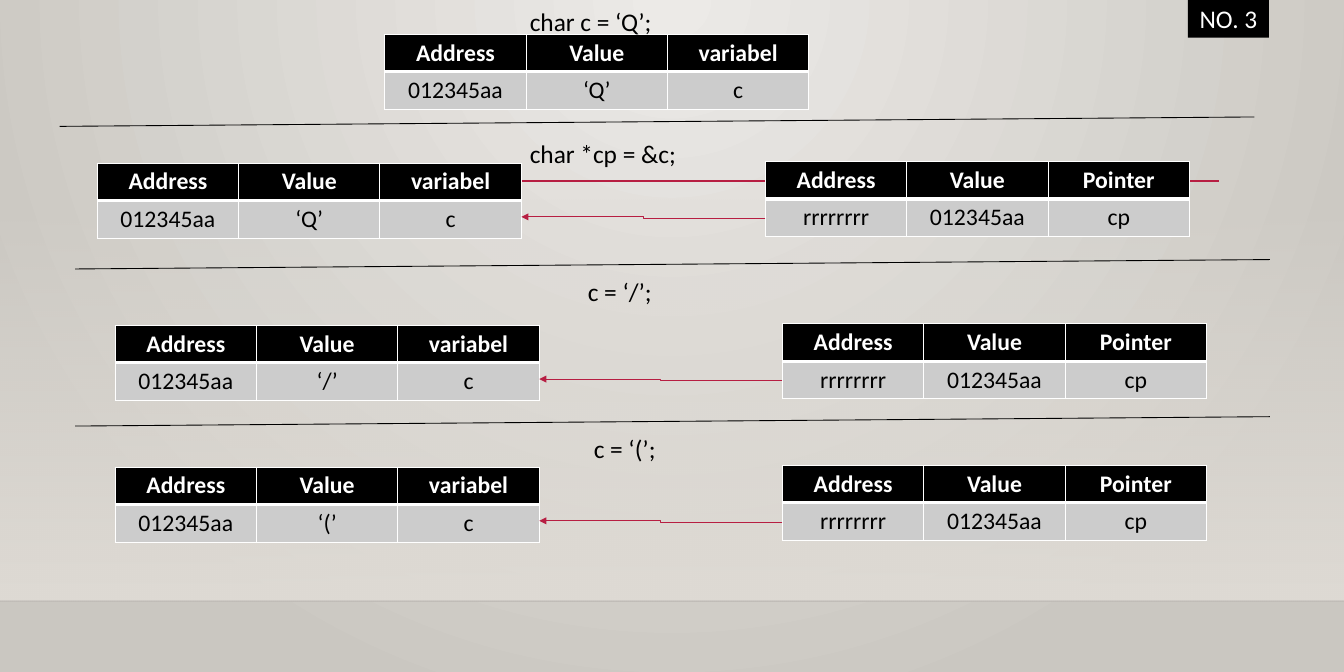
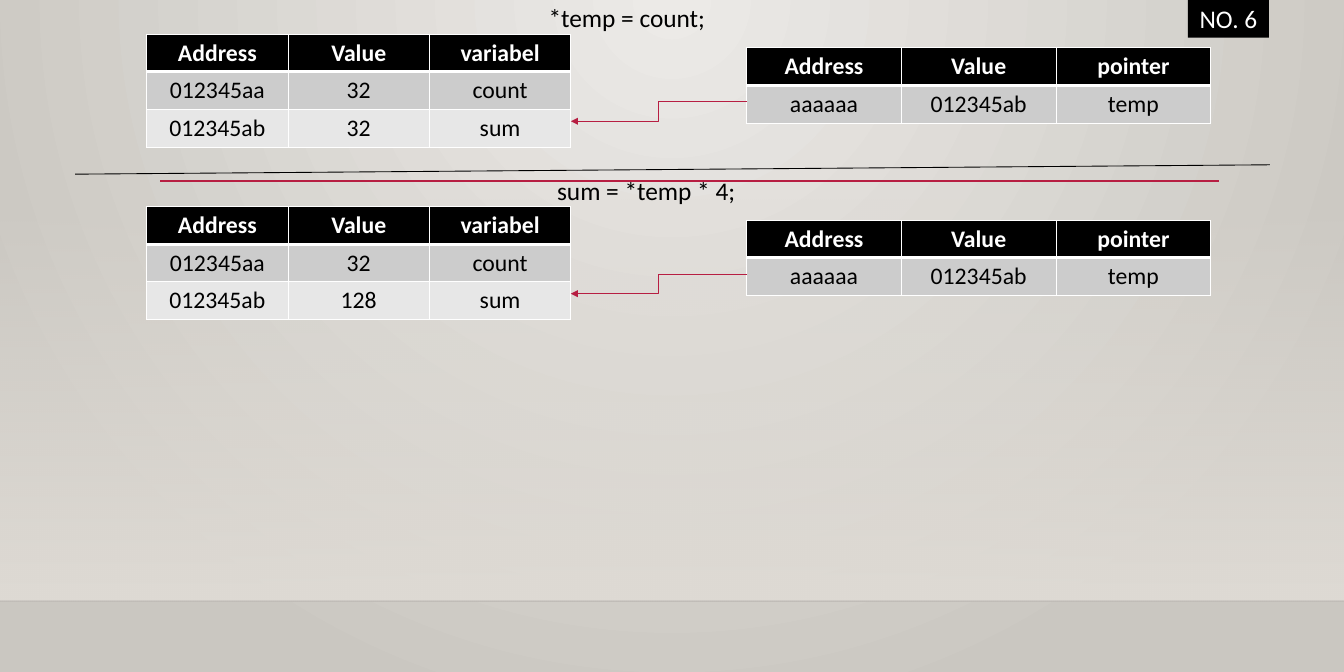
from dataclasses import dataclass

from lxml import etree
from pptx import Presentation
from pptx.dml.color import RGBColor
from pptx.enum.shapes import MSO_CONNECTOR, MSO_SHAPE
from pptx.enum.text import MSO_ANCHOR, MSO_AUTO_SIZE, PP_ALIGN
from pptx.oxml.ns import qn
from pptx.util import Inches, Pt

STRAIGHT, ELBOW = MSO_CONNECTOR.STRAIGHT, MSO_CONNECTOR.ELBOW
RECTANGLE = MSO_SHAPE.RECTANGLE
CENTER, MIDDLE = PP_ALIGN.CENTER, MSO_ANCHOR.MIDDLE
GROW, FIXED = MSO_AUTO_SIZE.SHAPE_TO_FIT_TEXT, MSO_AUTO_SIZE.NONE

WIDTH, HEIGHT = 15.75, 7.87
TABLE_WIDTH, WIDE_TABLE_WIDTH, ROW = 4.97, 5.44, 0.44
FLOOR = 7.04
BAND_TOP = 2.32
RULE_TOP = 2.12
DIVIDER_WIDTH, DIVIDER_RISE = 14, 0.11
LABEL_WIDTH, LABEL_HEIGHT = 3.89, 0.46

BLACK, WHITE, ACCENT = "000000", "FFFFFF", "B71E42"
BACKDROP = ("ECEAE7", "CAC7C1")
BAND = "DFDBD5"
ROW_FILLS = (BLACK, "CCCCCC", "E7E7E7")

CODE_FONT = {"name": "Calibri", "size": Pt(21.4), "bold": False}
CELL_FONT = {"name": "Calibri", "size": Pt(20), "bold": False}
HEAD_FONT = CELL_FONT | {"bold": True}


@dataclass(frozen=True)
class MemoryTable:
    left: float
    top: float
    kind: str
    rows: tuple[tuple[str, ...], ...]
    width: float = TABLE_WIDTH

    @property
    def right(self) -> float:
        return self.left + self.width


@dataclass(frozen=True)
class Step:
    """One statement and the tables that show memory after it."""
    code: str
    left: float
    top: float
    variables: MemoryTable
    pointer: MemoryTable | None = None


@dataclass(frozen=True)
class Exercise:
    """Arrow drops are measured down from the top of each table."""
    tag: str
    steps: tuple[Step, ...]
    dividers: tuple[tuple[float, float], ...]
    start_drop: float
    end_drop: float


def char_table(left: float, top: float, value: str) -> MemoryTable:
    return MemoryTable(left, top, "variabel", (("012345aa", value, "c"),))


def char_pointer(left: float, top: float) -> MemoryTable:
    return MemoryTable(left, top, "Pointer", (("rrrrrrrr", "012345aa", "cp"),))


def sum_step(code: str, left: float, code_top: float, top: float, total: str) -> Step:
    counts = (("012345aa", "32", "count"), ("012345ab", total, "sum"))
    pointer = (("aaaaaa", "012345ab", "temp"),)
    return Step(code, left, code_top, MemoryTable(1.72, top, "variabel", counts),
                MemoryTable(8.75, top + 0.16, "pointer", pointer, WIDE_TABLE_WIDTH))


EXERCISES = (
    Exercise(
        "NO. 3",
        (Step("char c = ‘Q’;", 6.11, 0.02, char_table(4.51, 0.4, "‘Q’")),
         Step("char *cp = &c;", 6.11, 1.57, char_table(1.14, 1.91, "‘Q’"),
              char_pointer(8.97, 1.89)),
         Step("c = ‘/’;", 6.79, 3.18, char_table(1.35, 3.81, "‘/’"),
              char_pointer(9.17, 3.79)),
         Step("c = ‘(’;", 6.86, 5.02, char_table(1.35, 5.47, "‘(’"),
              char_pointer(9.17, 5.45))),
        ((0.7, 1.48), (0.88, 3.15), (0.88, 4.99)), 0.67, 0.63),
    Exercise(
        "NO. 6",
        (sum_step("*temp = count;", 6.33, -0.02, 0.4, "32"),
         sum_step("sum = *temp * 4;", 6.43, 2, 2.42, "128")),
        ((0.88, 2.04),), 0.63, 1.02),
)


def paint(target, color: str) -> None:
    """Colour a fill, or the colour format of a font or gradient stop."""
    if hasattr(target, "solid"):
        target.solid()
        target = target.fore_color
    target.rgb = RGBColor.from_string(color)


def add_alpha(color_element, percent: int) -> None:
    etree.SubElement(color_element, qn("a:alpha"), val=str(percent * 1000))


def write(frame, text: str, font: dict, color: str, align=None) -> None:
    para = frame.paragraphs[0]
    para.alignment = align
    span = para.add_run()
    span.text = text
    for name, value in font.items():
        setattr(span.font, name, value)
    paint(span.font.color, color)


def add_line(page, kind, start, end, color: str, points: float):
    line = page.shapes.add_connector(kind, *map(Inches, (*start, *end)))
    paint(line.line.fill, color)
    line.line.width = Pt(points)
    etree.SubElement(line.element.spPr, qn("a:effectLst"))
    return line


def set_gradient(fill, colors) -> None:
    fill.gradient()
    for stop, color in zip(fill.gradient_stops, colors):
        paint(stop.color, color)


def build_layout(layout, page) -> None:
    """Give the layout its backdrop, band and rules, drawn on page and moved."""
    set_gradient(layout.background.fill, BACKDROP)
    gradient = layout.element.find(".//" + qn("a:gradFill"))
    gradient.remove(gradient.find(qn("a:lin")))
    glow = etree.SubElement(gradient, qn("a:path"), path="circle")
    etree.SubElement(glow, qn("a:fillToRect"),
                     l="43000", t="0", r="43000", b="100000")

    band = page.shapes.add_shape(
        RECTANGLE, 0, *map(Inches, (BAND_TOP, WIDTH, FLOOR - BAND_TOP)))
    band.shadow.inherit = False
    band.line.fill.background()
    set_gradient(band.fill, (BAND, BAND))
    band.fill.gradient_angle = 270
    add_alpha(band.element.find(".//" + qn("a:srgbClr")), 0)

    floor = add_line(page, STRAIGHT, (0, FLOOR), (WIDTH, FLOOR), "000001", 1)
    add_alpha(floor.element.find(".//" + qn("a:srgbClr")), 20)
    rule = add_line(page, STRAIGHT, (1.88, RULE_TOP), (14.29, RULE_TOP), ACCENT, 2.5)
    for number, shape in enumerate((band, floor, rule)):
        shape.element.find(".//" + qn("p:cNvPr")).set("id", str(100 + number))
        layout.shapes.element.insert(2 + number, shape.element)


def set_borders(cell, row: int) -> None:
    """White grid lines, heavier under the header row."""
    widths = {"lnL": 1, "lnR": 1, "lnT": 3 if row == 1 else 1,
              "lnB": 3 if row == 0 else 1}
    properties = cell._tc.get_or_add_tcPr()
    for side, points in widths.items():
        edge = etree.SubElement(properties, qn("a:" + side), w=str(Pt(points)))
        fill = etree.SubElement(edge, qn("a:solidFill"))
        etree.SubElement(fill, qn("a:srgbClr"), val=WHITE)


def add_memory_table(page, memory: MemoryTable) -> None:
    rows = (("Address", "Value", memory.kind), *memory.rows)
    table = page.shapes.add_table(len(rows), 3, *map(Inches, (
        memory.left, memory.top, memory.width, len(rows) * ROW))).table
    table.horz_banding = False
    for r, texts in enumerate(rows):
        table.rows[r].height = Inches(ROW)
        font, color = (CELL_FONT, BLACK) if r else (HEAD_FONT, WHITE)
        for c, text in enumerate(texts):
            cell = table.cell(r, c)
            set_borders(cell, r)
            paint(cell.fill, ROW_FILLS[r])
            write(cell.text_frame, text, font, color, CENTER)


def add_step(page, step: Step, exercise: Exercise) -> None:
    variables, pointer = step.variables, step.pointer
    add_memory_table(page, variables)
    if pointer:
        add_memory_table(page, pointer)
        arrow = add_line(page, ELBOW,
                         (pointer.left, pointer.top + exercise.start_drop),
                         (variables.right, variables.top + exercise.end_drop),
                         ACCENT, 0.75)
        outline = arrow.element.spPr.find(qn("a:ln"))
        etree.SubElement(outline, qn("a:tailEnd"), type="triangle")
    box = page.shapes.add_textbox(
        *map(Inches, (step.left, step.top, LABEL_WIDTH, LABEL_HEIGHT)))
    box.text_frame.word_wrap = True
    box.text_frame.auto_size = GROW
    write(box.text_frame, step.code, CODE_FONT, BLACK)


def add_tag(page, text: str) -> None:
    tag = page.shapes.title
    place = {"left": 13.92, "top": -0.02, "width": 0.95, "height": LABEL_HEIGHT}
    for name, value in place.items():
        setattr(tag, name, Inches(value))
    paint(tag.fill, BLACK)
    frame = tag.text_frame
    for name, value in {"word_wrap": True, "auto_size": FIXED,
                        "vertical_anchor": MIDDLE}.items():
        setattr(frame, name, value)
    write(frame, text, CODE_FONT, WHITE, CENTER)


def main() -> None:
    deck = Presentation()
    deck.slide_width, deck.slide_height = Inches(WIDTH), Inches(HEIGHT)
    layout = deck.slide_layouts.get_by_name("Title Only")
    pages = [deck.slides.add_slide(layout) for _ in EXERCISES]
    build_layout(layout, pages[0])
    for page, exercise in zip(pages, EXERCISES):
        for left, top in exercise.dividers:
            add_line(page, STRAIGHT, (left, top),
                     (left + DIVIDER_WIDTH, top - DIVIDER_RISE), BLACK, 0.75)
        for step in exercise.steps:
            add_step(page, step, exercise)
        add_tag(page, exercise.tag)
    deck.save("out.pptx")


if __name__ == "__main__":
    main()
